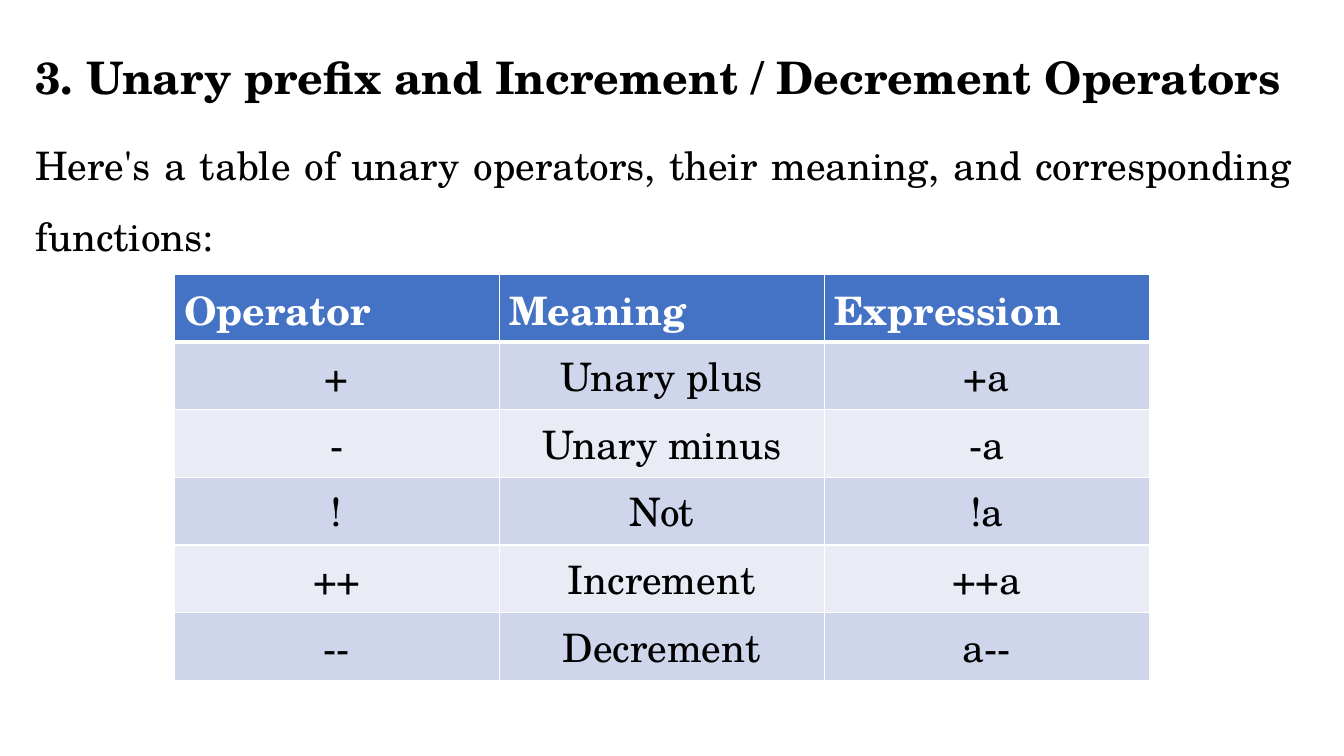
from dataclasses import dataclass
from typing import NamedTuple

from lxml.etree import SubElement
from pptx import Presentation
from pptx.dml.color import RGBColor
from pptx.enum.text import PP_ALIGN
from pptx.oxml.ns import qn
from pptx.util import Cm, Pt


@dataclass(frozen=True)
class Theme:
    font: str = "TeX Gyre Schola"
    ink: str = "000000"
    white: str = "FFFFFF"
    header: str = "4472C4"
    bands: tuple[str, str] = ("CFD5EA", "E9EBF5")
    title_size: int = 32
    body_size: int = 28
    thin_rule: int = 1
    header_rule: int = 3


class Operator(NamedTuple):
    symbol: str
    meaning: str
    expression: str


THEME = Theme()
HEADINGS = Operator("Operator", "Meaning", "Expression")
OPERATORS = [
    Operator("+", "Unary plus", "+a"),
    Operator("-", "Unary minus", "-a"),
    Operator("!", "Not", "!a"),
    Operator("++", "Increment", "++a"),
    Operator("--", "Decrement", "a--"),
]


def style_paragraph(para, size: int, color: str, bold: bool, align: PP_ALIGN) -> None:
    para.alignment = align
    font = para.font
    font.name, font.size, font.bold = THEME.font, Pt(size), bold
    font.color.rgb = RGBColor.from_string(color)


def add_border(cell, side: str, width: int) -> None:
    properties = cell._tc.get_or_add_tcPr()
    line = SubElement(properties, qn(f"a:ln{side}"), w=str(Pt(width)))
    fill = SubElement(line, qn("a:solidFill"))
    SubElement(fill, qn("a:srgbClr"), val=THEME.white)


def add_introduction(page) -> None:
    box = page.shapes.add_textbox(Cm(0.64), Cm(1.27), Cm(32.16), Cm(5.4))
    frame = box.text_frame
    frame.word_wrap = True

    title = frame.paragraphs[0]
    title.text = "3. Unary prefix and Increment / Decrement Operators"
    title.line_spacing = 0.9
    style_paragraph(title, THEME.title_size, THEME.ink, True, PP_ALIGN.LEFT)

    summary = frame.add_paragraph()
    summary.text = (
        "Here's a table of unary operators, their meaning, "
        "and corresponding functions:"
    )
    summary.line_spacing = 1.5
    style_paragraph(summary, THEME.body_size, THEME.ink, False, PP_ALIGN.JUSTIFY)

    for para in frame.paragraphs:
        para.space_before = Pt(10)


def fill_cell(cell, text: str, row: int) -> None:
    is_header = row == 0
    # Borders come before the fill in the cell properties
    for side in "LRTB":
        below_header = (row, side) in ((0, "B"), (1, "T"))
        add_border(cell, side, THEME.header_rule if below_header else THEME.thin_rule)
    cell.fill.solid()
    color = THEME.header if is_header else THEME.bands[(row - 1) % 2]
    cell.fill.fore_color.rgb = RGBColor.from_string(color)

    para = cell.text_frame.paragraphs[0]
    para.text = text
    style_paragraph(
        para,
        THEME.body_size,
        THEME.white if is_header else THEME.ink,
        is_header,
        PP_ALIGN.LEFT if is_header else PP_ALIGN.CENTER,
    )


def add_operator_table(page) -> None:
    rows = [HEADINGS, *OPERATORS]
    table = page.shapes.add_table(
        len(rows), len(HEADINGS), Cm(4.39), Cm(6.91), Cm(24.57), Cm(10.24)
    ).table
    for row, operator in enumerate(rows):
        for column, text in enumerate(operator):
            fill_cell(table.cell(row, column), text, row)


def main() -> None:
    deck = Presentation()
    deck.slide_width, deck.slide_height = Cm(33.87), Cm(19.05)
    page = deck.slides.add_slide(deck.slide_layouts[6])

    # Heading and summary
    add_introduction(page)
    # Operators, one per row
    add_operator_table(page)

    deck.save("out.pptx")


if __name__ == "__main__":
    main()
